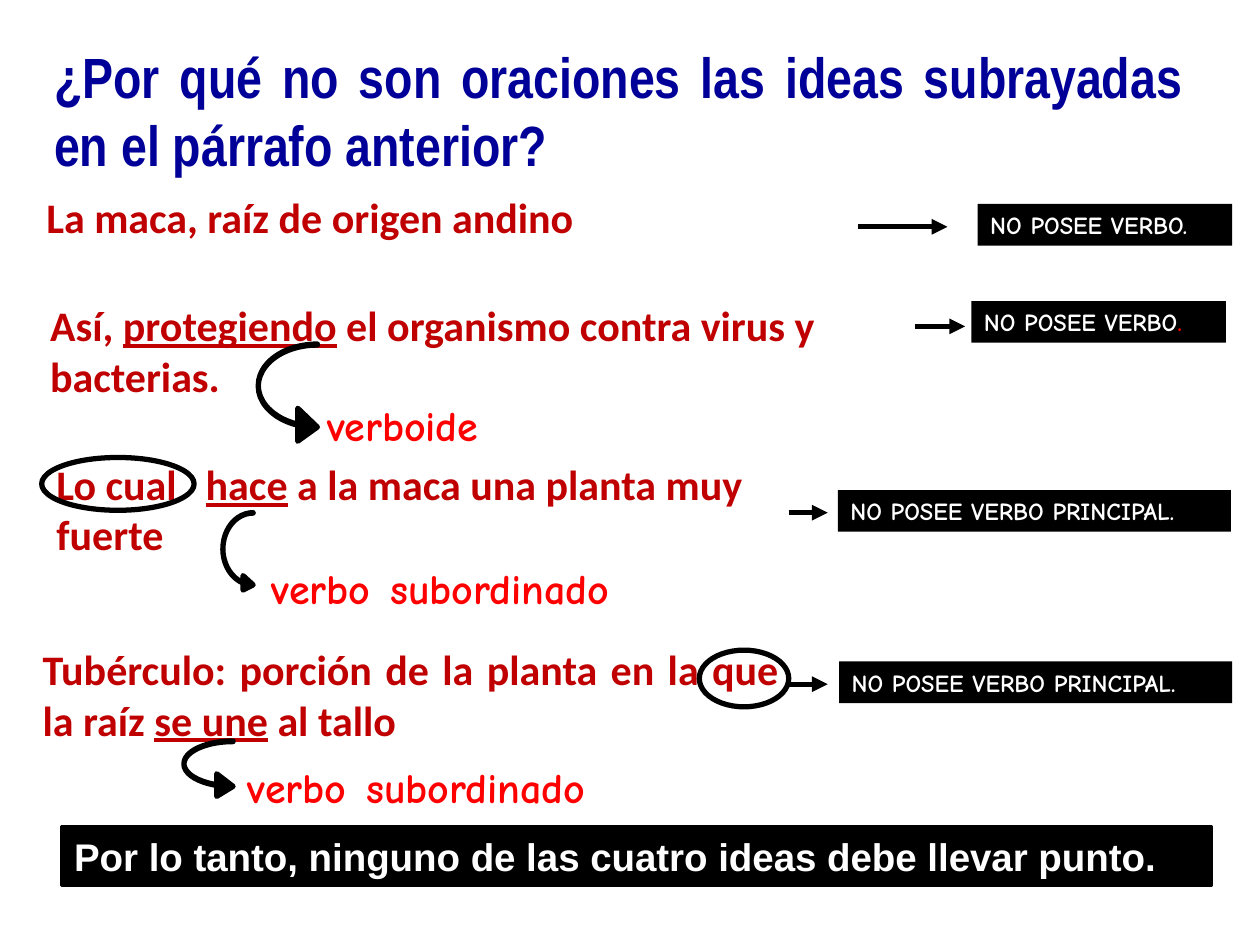
from lxml import etree
from pptx import Presentation
from pptx import util as u
from pptx.dml.color import RGBColor
from pptx.enum import shapes, text
from pptx.oxml.ns import qn

BLACK, WHITE, RED = "000000", "FFFFFF", "FF0000"
NAVY, DARK_RED = "000099", "C00000"
LABEL_HEIGHT = 23.8


def color(value):
    return RGBColor.from_string(value)


def place(box):
    return [u.Pt(length) for length in box]


def write(shape, runs, font, size, ink, align=text.PP_ALIGN.LEFT, tab=None):
    """Fill a shape with one bold paragraph; runs are (wording, font changes) pairs."""
    frame = shape.text_frame
    frame.word_wrap = True
    frame.vertical_anchor = text.MSO_ANCHOR.TOP
    paragraph = frame.paragraphs[0]
    paragraph.alignment = align
    if tab:
        tabs = etree.SubElement(paragraph._p.get_or_add_pPr(), qn("a:tabLst"))
        etree.SubElement(tabs, qn("a:tab"), pos=str(u.Pt(tab)), algn="l")
    paragraph.font.name = font
    paragraph.font.size = u.Pt(size)
    paragraph.font.bold = True
    paragraph.font.color.rgb = color(ink)
    for wording, changes in runs:
        run = paragraph.add_run()
        run.text = wording
        if "underline" in changes:
            run.font.underline = True
        if "size" in changes:
            run.font.size = u.Pt(changes["size"])
        if "ink" in changes:
            run.font.color.rgb = color(changes["ink"])


def add_text(slide, box, runs, *style, **options):
    write(slide.shapes.add_textbox(*place(box)), runs, *style, **options)


def add_figure(slide, kind, box, fill=None, line_width=None):
    shape = slide.shapes.add_shape(kind, *place(box))
    shape.shadow.inherit = False
    if fill:
        shape.fill.solid()
        shape.fill.fore_color.rgb = color(fill)
    else:
        shape.fill.background()
    if line_width:
        shape.line.color.rgb = color(BLACK)
        shape.line.width = u.Pt(line_width)
    else:
        shape.line.fill.background()
    return shape


def add_idea(slide, box, runs, align=text.PP_ALIGN.LEFT, tab=None):
    add_text(slide, box, runs, "Calibri", 24, DARK_RED, align=align, tab=tab)


def add_verdict(slide, box, arrow, runs):
    """Black label with an arrow, (start, end, height), pointing at it."""
    start, end, y = arrow
    connector = slide.shapes.add_connector(
        shapes.MSO_CONNECTOR.STRAIGHT, *place((start, y, end, y)))
    connector.line.color.rgb = color(BLACK)
    connector.line.width = u.Pt(3)
    etree.SubElement(connector.line._get_or_add_ln(), qn("a:tailEnd"), type="triangle")
    etree.SubElement(connector._element.spPr, qn("a:effectLst"))
    label = add_figure(slide, shapes.MSO_SHAPE.RECTANGLE, box, fill=BLACK)
    write(label, runs, "Comic Neue", 14, WHITE)


def add_verb_note(slide, arrow_box, adjustments, note_box, runs):
    """Curved arrow from an underlined verb to the name of its kind."""
    arrow = add_figure(slide, shapes.MSO_SHAPE.CURVED_RIGHT_ARROW, arrow_box, BLACK, 3)
    for index, value in enumerate(adjustments):
        arrow.adjustments[index] = value
    add_text(slide, note_box, runs, "Comic Neue", 24, RED)


def add_ring(slide, box):
    add_figure(slide, shapes.MSO_SHAPE.OVAL, box, line_width=3)


def add_conclusion(slide, box):
    banner = add_figure(slide, shapes.MSO_SHAPE.RECTANGLE, box, BLACK, 1.5)
    write(banner, [("Por lo tanto, ninguno de las cuatro ideas debe llevar punto.", {})],
          "Arial", 22, WHITE)


def main():
    presentation = Presentation()
    presentation.slide_width, presentation.slide_height = u.Pt(720), u.Pt(540)
    slide = presentation.slides.add_slide(presentation.slide_layouts[6])
    justify = text.PP_ALIGN.JUSTIFY
    underline = {"underline": True}
    subordinate = [("verbo", {}), (" ", {"size": 32}), ("subordinado", {})]
    no_main_verb = [("NO POSEE VERBO PRINCIPAL.", {})]

    add_text(slide, (23.8, 20.2, 659.5, 69),
             [("¿Por qué no son oraciones las ideas subrayadas en el párrafo anterior?", {})],
             "Arial Narrow", 32.4, NAVY, align=justify)

    add_idea(slide, (19.4, 105.8, 396.7, 36), [("La maca, raíz de origen andino", {})])
    add_verdict(slide, (558.7, 116.6, 145.4, LABEL_HEIGHT), (490.3, 541.4, 129.6),
                [("NO POSEE VERBO.", {})])

    add_idea(slide, (21.6, 167.8, 508.3, 65.5),
             [("Así, ", {}), ("protegiendo", underline),
              (" el organismo contra virus y bacterias.", {})])
    add_verdict(slide, (555.1, 172.1, 145.4, LABEL_HEIGHT), (522.7, 551.5, 186.5),
                [("NO POSEE VERBO", {}), (".", {"ink": RED})])
    add_verb_note(slide, (147.6, 196.6, 33.8, 56.9), (0.017, 0.559, 0.333),
                  (180, 224.6, 113, 36.7), [("verboide", {})])

    add_idea(slide, (25.2, 258.5, 422.6, 65.5),
             [("Lo cual\t", {}), ("hace", underline),
              (" a la maca una planta muy fuerte", {})], tab=85.3)
    add_ring(slide, (23.8, 261.4, 87.1, 30.2))
    add_verdict(slide, (478.8, 280.1, 224.6, LABEL_HEIGHT), (450.7, 473, 293), no_main_verb)
    add_verb_note(slide, (127.4, 293, 17.3, 45.4), (0.014, 0.479, 0.333),
                  (148.3, 309.6, 229.7, 46), subordinate)

    add_idea(slide, (17.3, 364.3, 434.9, 65.5),
             [("Tubérculo: porción de la planta en la que la raíz ", {}),
              ("se une", underline), (" al tallo", {})], align=justify)
    add_ring(slide, (399.6, 371.5, 51.1, 32.4))
    add_verdict(slide, (479.5, 378, 224.6, LABEL_HEIGHT), (450.7, 473, 391), no_main_verb)
    add_verb_note(slide, (105.1, 423.4, 28.1, 32.4), (0.014, 0.46, 0.333),
                  (134.6, 423.4, 229.7, 46), subordinate)

    add_conclusion(slide, (35.3, 472.3, 657.4, 33.8))
    presentation.save("out.pptx")


if __name__ == "__main__":
    main()
